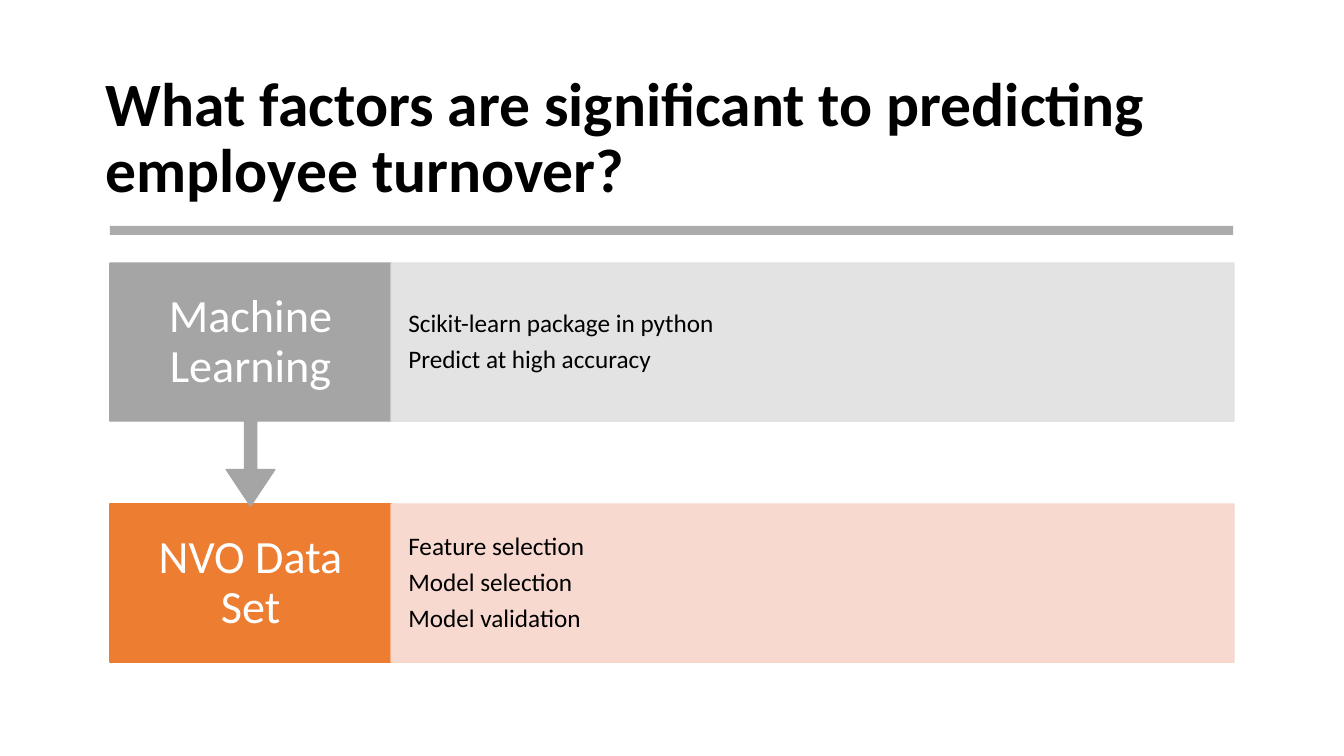
from pptx import Presentation
from pptx.dml.color import RGBColor
from pptx.enum.shapes import MSO_SHAPE
from pptx.enum.text import MSO_ANCHOR, PP_ALIGN
from pptx.oxml.ns import qn
from pptx.util import Inches, Pt
from lxml import etree

COLORS = {
    "black": "000000",
    "white": "FFFFFF",
    "rule": "7F7F7F",
    "gray": "A5A5A5",
    "pale": "E0E0E0",
    "orange": "ED7D31",
    "peach": "F7D5CB",
}


class Deck:
    """Holds the style and the current slide."""

    font = "Calibri"

    def __init__(self):
        self.prs = Presentation()
        self.prs.slide_width = Inches(13.33)
        self.prs.slide_height = Inches(7.5)
        self.slide = self.prs.slides.add_slide(self.prs.slide_layouts[6])

    def shape(self, box, color, kind=MSO_SHAPE.RECTANGLE, alpha=100, line=True):
        item = self.slide.shapes.add_shape(kind, *map(Inches, box))
        item.shadow.inherit = False
        tone = RGBColor.from_string(COLORS[color])
        item.fill.solid()
        item.fill.fore_color.rgb = tone
        if line:
            item.line.color.rgb = tone
            item.line.width = Pt(1)
        else:
            item.line.fill.background()
        if alpha < 100:
            for node in item._element.spPr.iter(qn("a:srgbClr")):
                etree.SubElement(node, qn("a:alpha"), val=str(alpha * 1000))
        return item

    def text(self, box, lines, size, color="black", pad=(0.1, 0.05),
             align=PP_ALIGN.LEFT, bold=False):
        frame = self.slide.shapes.add_textbox(*map(Inches, box)).text_frame
        frame.word_wrap = True
        frame.vertical_anchor = MSO_ANCHOR.MIDDLE
        frame.margin_left = frame.margin_right = Inches(pad[0])
        frame.margin_top = frame.margin_bottom = Inches(pad[1])
        frame.text = "\n".join(lines)
        for i, para in enumerate(frame.paragraphs):
            para.alignment = align
            para.line_spacing = 0.9
            para.space_before = Pt(6.3 if i else 0)
            para.font.name = self.font
            para.font.size = Pt(size)
            para.font.bold = bold
            para.font.color.rgb = RGBColor.from_string(COLORS[color])

    def label(self, box, words):
        self.text(box, [words], 33, "white", (0.2, 0.26), PP_ALIGN.CENTER)

    def detail(self, box, color, lines):
        self.shape(box, color, alpha=90)
        self.text(box, lines, 18, pad=(0.17, 0.25))

    def callout(self, box, color):
        """Block whose arrow points down to the next row."""
        item = self.shape(box, color, MSO_SHAPE.UP_ARROW_CALLOUT)
        item.rotation = 180
        for i, value in enumerate((0.05, 0.1, 0.15, 0.65)):
            item.adjustments[i] = value


def main():
    deck = Deck()
    deck.text((0.95, 0.66, 11.43, 1.45),
              ["What factors are significant to predicting employee turnover?"],
              44, bold=True)
    deck.shape((1.09, 2.24, 11.14, 0.09), "rule", alpha=65, line=False)

    left, wide, high = 1.09, 2.79, 1.57
    rows = [
        (5, "NVO Data Set", "orange", "peach",
         ["Feature selection", "Model selection", "Model validation"]),
        (2.61, "Machine Learning", "gray", "pale",
         ["Scikit-learn package in python", "Predict at high accuracy"]),
    ]
    for top, name, dark, light, lines in rows:
        head = (left, top, wide, high)
        if name == "Machine Learning":
            deck.callout((left, top, wide, 2.41), dark)
        else:
            deck.shape(head, dark)
        deck.label(head, name)
        deck.detail((left + wide, top, 8.36, high), light, lines)

    deck.prs.save("out.pptx")


if __name__ == "__main__":
    main()
